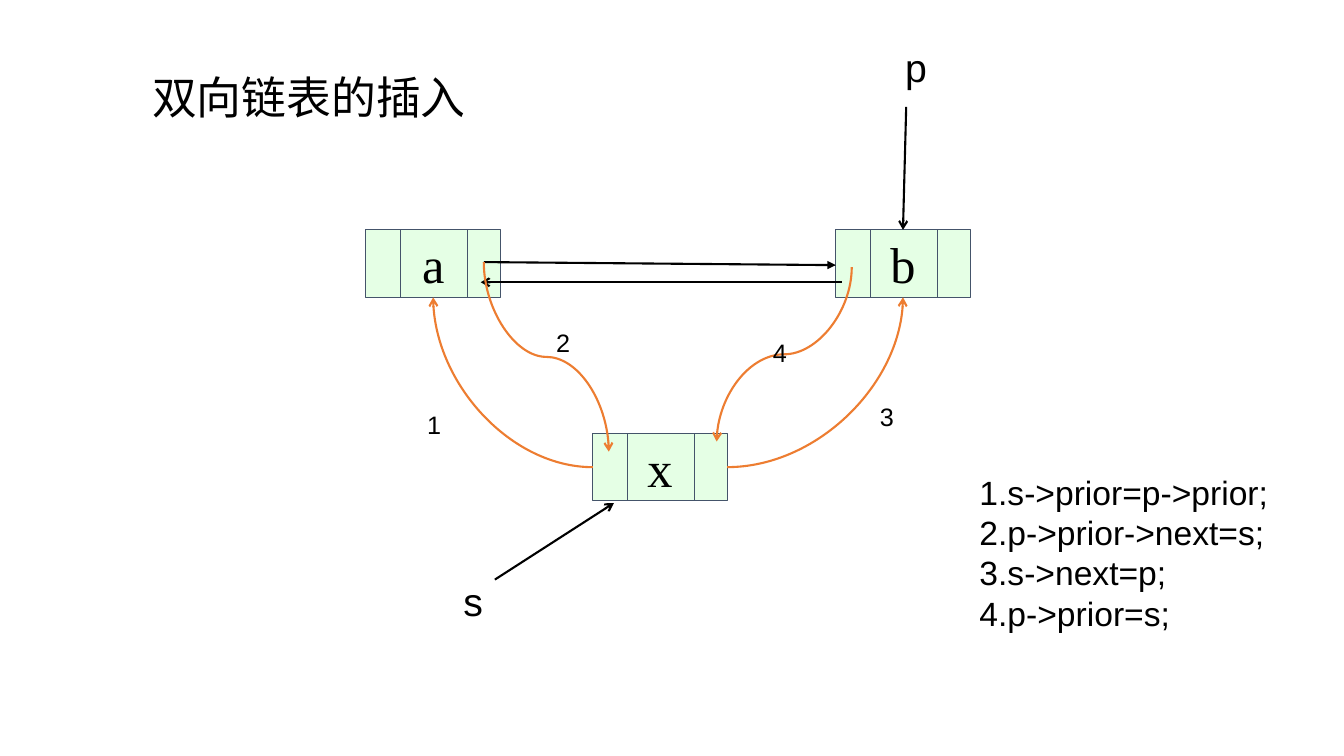
from dataclasses import dataclass
from typing import NamedTuple

from lxml import etree
from pptx import Presentation
from pptx import util as u
from pptx.dml import color
from pptx.enum import shapes, text
from pptx.oxml import ns


@dataclass(frozen=True)
class Theme:
    ink: str = "000000"
    node_fill: str = "CCFFCC"
    node_opacity: int = 50
    node_line: str = "44546A"
    step_line: str = "ED7D31"
    thin: float = 0.75
    thick: float = 1.5
    sans: str = "Arial"
    serif: str = "Times New Roman"
    chinese: str = "Noto Sans CJK SC"
    title_size: int = 32
    node_size: int = 36
    pointer_size: int = 28
    code_size: int = 24
    step_size: int = 18


THEME = Theme()


class Point(NamedTuple):
    x: float
    y: float


@dataclass(frozen=True)
class Node:
    value: str
    left: float
    top: float
    width: float = 96
    height: float = 48.2
    dividers: tuple[float, float] = (24.5, 72.4)

    @property
    def left_middle(self) -> Point:
        return Point(self.left, self.top + self.height / 2)

    @property
    def right_middle(self) -> Point:
        return Point(self.left + self.width, self.top + self.height / 2)

    @property
    def top_middle(self) -> Point:
        return Point(self.left + self.width / 2, self.top)

    @property
    def bottom_middle(self) -> Point:
        return Point(self.left + self.width / 2, self.top + self.height)


@dataclass(frozen=True)
class Arrow:
    start: Point
    end: Point
    head: str = "arrow"


@dataclass(frozen=True)
class Step:
    start: Point
    end: Point
    rotation: int


@dataclass(frozen=True)
class Label:
    lines: tuple[str, ...]
    left: float
    top: float
    width: float
    height: float
    size: int
    font: str = THEME.sans


A = Node("a", 261.4, 164.2)
B = Node("b", 597, 164.2)
X = Node("x", 423.4, 309.6)
A_NEXT = Point(345.6, 187.2)

ARROWS = (
    Arrow(A_NEXT, Point(B.left, 189.4), "triangle"),
    Arrow(Point(601.2, 201.6), Point(343.4, 201.6)),
    Arrow(Point(647.3, 76.3), B.top_middle),
    Arrow(Point(353.5, 414), Point(438.5, 359.3)),
)
STEPS = (
    Step(X.left_middle, A.bottom_middle, 180),
    Step(A_NEXT, Point(434.9, 322.6), 90),
    Step(X.right_middle, B.bottom_middle, 0),
    Step(Point(608.4, 190.8), Point(511.9, 315.4), 90),
)
LABELS = (
    Label(("双向链表的插入",), 101.5, 46, 325.4, 46, THEME.title_size, THEME.chinese),
    Label(("p",), 639.4, 27.4, 41, 41, THEME.pointer_size),
    Label(("s",), 324, 409, 33.8, 41, THEME.pointer_size),
    Label(("1",), 298.1, 288.7, 35.3, 28.8, THEME.step_size),
    Label(("2",), 390.2, 230.4, 33.8, 28.8, THEME.step_size),
    Label(("3",), 621.4, 283, 30.2, 28.8, THEME.step_size),
    Label(("4",), 545, 237.6, 25.2, 28.8, THEME.step_size),
    Label(
        ("1.s->prior=p->prior;", "2.p->prior->next=s;", "3.s->next=p;", "4.p->prior=s;"),
        692.6, 333.4, 230.4, 123.8, THEME.code_size,
    ),
)


def add_run(paragraph, words: str, size: int, font: str) -> None:
    run = paragraph.add_run()
    run.text = words
    run.font.size = u.Pt(size)
    run.font.name = font
    run.font.color.rgb = color.RGBColor.from_string(THEME.ink)
    etree.SubElement(run.font._element, ns.qn("a:ea"), typeface=font)


def draw_line(canvas, start: Point, end: Point, ink: str, weight: float,
              head: str = "", kind=shapes.MSO_CONNECTOR.STRAIGHT):
    line = canvas.add_connector(kind, *(u.Pt(length) for length in (*start, *end)))
    line.line.color.rgb = color.RGBColor.from_string(ink)
    line.line.width = u.Pt(weight)
    properties = line._element.spPr
    if head:
        etree.SubElement(properties.find(ns.qn("a:ln")), ns.qn("a:tailEnd"), type=head)
    etree.SubElement(properties, ns.qn("a:effectLst"))
    return line


def draw_node(slide, node: Node) -> None:
    group = slide.shapes.add_group_shape().shapes
    box = group.add_shape(
        shapes.MSO_SHAPE.RECTANGLE,
        *(u.Pt(length) for length in (node.left, node.top, node.width, node.height)),
    )
    box.shadow.inherit = False
    box.fill.solid()
    box.fill.fore_color.rgb = color.RGBColor.from_string(THEME.node_fill)
    tint = box._element.spPr.find(ns.qn("a:solidFill"))[0]
    etree.SubElement(tint, ns.qn("a:alpha"), val=str(THEME.node_opacity * 1000))
    box.line.color.rgb = color.RGBColor.from_string(THEME.node_line)
    box.line.width = u.Pt(THEME.thin)
    frame = box.text_frame
    frame.word_wrap = False
    frame.vertical_anchor = text.MSO_ANCHOR.MIDDLE
    frame.paragraphs[0].alignment = text.PP_ALIGN.CENTER
    add_run(frame.paragraphs[0], node.value, THEME.node_size, THEME.serif)
    for offset in node.dividers:
        x = node.left + offset
        draw_line(group, Point(x, node.top), Point(x, node.top + node.height),
                  THEME.node_line, THEME.thin)


def draw_step(slide, step: Step) -> None:
    (x1, y1), (x2, y2) = step.start, step.end
    width, height = abs(x2 - x1), abs(y2 - y1)
    upright = step.rotation == 90
    if upright:
        width, height = height, width
    flipped = x2 > x1 if upright else step.rotation == 0 and y2 < y1
    left, top = (x1 + x2 - width) / 2, (y1 + y2 - height) / 2
    near, far = (top + height, top) if flipped else (top, top + height)
    curve = draw_line(slide.shapes, Point(left, near), Point(left + width, far),
                      THEME.step_line, THEME.thick, "arrow", shapes.MSO_CONNECTOR.CURVE)
    properties = curve._element.spPr
    if step.rotation:
        properties.find(ns.qn("a:xfrm")).set("rot", str(step.rotation * 60000))
    if not upright:
        properties.find(ns.qn("a:prstGeom")).set("prst", "curvedConnector2")


def draw_label(slide, label: Label) -> None:
    box = slide.shapes.add_textbox(
        *(u.Pt(length) for length in (label.left, label.top, label.width, label.height))
    )
    frame = box.text_frame
    frame.word_wrap = True
    frame.auto_size = text.MSO_AUTO_SIZE.SHAPE_TO_FIT_TEXT
    for index, words in enumerate(label.lines):
        paragraph = frame.add_paragraph() if index else frame.paragraphs[0]
        add_run(paragraph, words, label.size, label.font)


def main() -> None:
    deck = Presentation()
    deck.slide_width, deck.slide_height = u.Pt(960), u.Pt(540)
    slide = deck.slides.add_slide(deck.slide_layouts[6])
    for node in (A, B, X):
        draw_node(slide, node)
    for arrow in ARROWS:
        draw_line(slide.shapes, arrow.start, arrow.end, THEME.ink, THEME.thick, arrow.head)
    for step in STEPS:
        draw_step(slide, step)
    for label in LABELS:
        draw_label(slide, label)
    deck.save("out.pptx")


if __name__ == "__main__":
    main()
